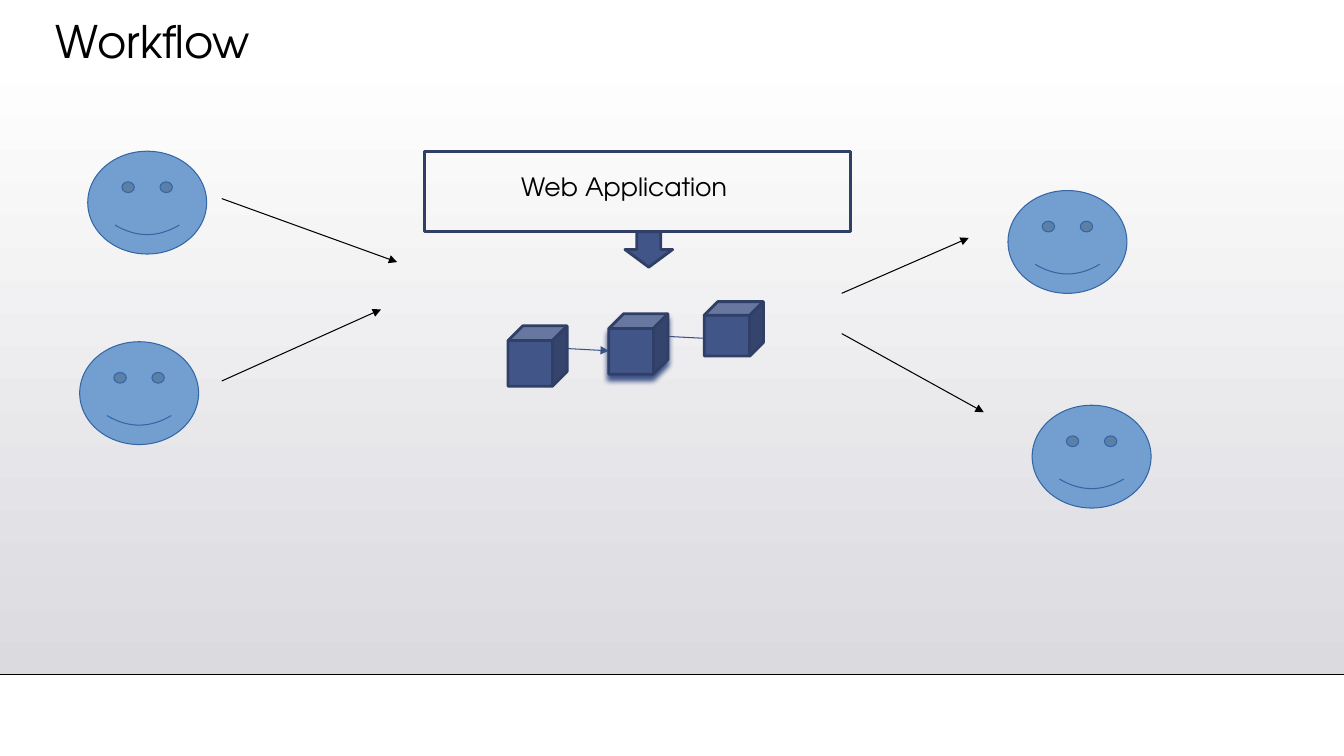
from lxml import etree
from pptx import Presentation
from pptx.dml.color import RGBColor
from pptx.enum.shapes import MSO_CONNECTOR, MSO_SHAPE
from pptx.enum.text import MSO_ANCHOR, MSO_AUTO_SIZE, PP_ALIGN
from pptx.oxml.ns import qn
from pptx.util import Inches, Pt

RECTANGLE = MSO_SHAPE.RECTANGLE
CUBE = MSO_SHAPE.CUBE
DOWN_ARROW = MSO_SHAPE.DOWN_ARROW
SMILEY = MSO_SHAPE.SMILEY_FACE
STRAIGHT = MSO_CONNECTOR.STRAIGHT
TOP = MSO_ANCHOR.TOP
LEFT = PP_ALIGN.LEFT
NO_AUTOFIT = MSO_AUTO_SIZE.NONE

WHITE = RGBColor(0xFF, 0xFF, 0xFF)
BLACK = RGBColor(0x00, 0x00, 0x00)
MIST = RGBColor(0xDA, 0xDA, 0xDF)
BLOCK_BLUE = RGBColor(0x41, 0x55, 0x88)
BLOCK_EDGE = RGBColor(0x30, 0x3F, 0x65)
LINK_BLUE = RGBColor(0x3D, 0x52, 0x86)
USER_BLUE = RGBColor(0x72, 0x9F, 0xCF)
USER_EDGE = RGBColor(0x34, 0x65, 0xA4)

FONT = "TeX Gyre Adventor"
SLIDE_WIDTH = Inches(13.33)
SLIDE_HEIGHT = Inches(7.5)
FLOOR = 89.2
USER_SIZE = (8.85, 13.6)
USERS = [(75, 25.2), (6.53, 20), (76.8, 53.6), (5.93, 45.2)]
BLOCK_WIDTH = 4.4
BLOCKS = [(37.8, 43.1, 8), (45.3, 41.5, 8), (52.4, 39.9, 7.2)]
BLOCK_LINKS = [((42.15, 46.1), (45.3, 46.4)), ((49.65, 44.5), (52.95, 44.8))]
USER_FLOWS = [
    ((16.5, 26.27), (29.55, 34.67)),
    ((16.5, 50.4), (28.35, 40.93)),
    ((62.63, 38.8), (72.08, 31.47)),
    ((62.63, 44.13), (73.2, 54.53)),
]


def across(share):
    return int(SLIDE_WIDTH * share / 100)


def down(share):
    return int(SLIDE_HEIGHT * share / 100)


def place(left, top, width, height):
    return across(left), down(top), across(width), down(height)


def add_figure(slide, preset, area, fill, edge, weight):
    figure = slide.shapes.add_shape(preset, *place(*area))
    figure.shadow.inherit = False
    if fill is None:
        figure.fill.background()
    else:
        figure.fill.solid()
        figure.fill.fore_color.rgb = fill
    figure.line.color.rgb = edge
    figure.line.width = Pt(weight)
    return figure


def add_backdrop(slide):
    top = 6.8
    backdrop = slide.shapes.add_shape(RECTANGLE, *place(0, top, 100, FLOOR - top))
    backdrop.shadow.inherit = False
    backdrop.line.fill.background()
    backdrop.fill.gradient()
    backdrop.fill.gradient_angle = 270
    for stop, color in zip(backdrop.fill.gradient_stops, (WHITE, MIST)):
        stop.color.rgb = color


def add_line(slide, start, end, color, weight, arrow=True):
    line = slide.shapes.add_connector(
        STRAIGHT, across(start[0]), down(start[1]), across(end[0]), down(end[1])
    )
    line.line.color.rgb = color
    line.line.width = Pt(weight)
    if arrow:
        etree.SubElement(line.line._get_or_add_ln(), qn("a:tailEnd"), type="triangle")
    etree.SubElement(line._element.spPr, qn("a:effectLst"))


def add_glow_below(block):
    effects = block._element.spPr.find(qn("a:effectLst"))
    shadow = etree.SubElement(
        effects, qn("a:outerShdw"), blurRad=str(Pt(4)), dist=str(Pt(4)),
        dir="5400000", algn="ctr", rotWithShape="0",
    )
    etree.SubElement(shadow, qn("a:srgbClr"), val=str(BLOCK_BLUE))


def write(holder, wording, size, spacing):
    frame = holder.text_frame
    frame.text = wording
    paragraph = frame.paragraphs[0]
    formats = {
        frame: {"word_wrap": True, "auto_size": NO_AUTOFIT, "vertical_anchor": TOP},
        paragraph: {"alignment": LEFT, "line_spacing": spacing},
        paragraph.runs[0].font: {"name": FONT, "size": Pt(size)},
    }
    for target, values in formats.items():
        for name, value in values.items():
            setattr(target, name, value)
    paragraph.runs[0].font.color.rgb = BLACK


def add_title(slide, wording):
    title = slide.shapes.title
    title.left, title.top, title.width, title.height = place(3.38, 2, 86.25, 19.33)
    write(title, wording, 32, 0.9)


def add_application(slide):
    add_figure(slide, RECTANGLE, (31.58, 20, 31.73, 10.67), None, BLOCK_EDGE, 2)
    label = slide.shapes.add_textbox(*place(38.03, 22, 18.68, 5.33))
    write(label, "Web Application", 18, 1.0)
    add_figure(slide, DOWN_ARROW, (46.5, 30.67, 3.55, 4.67), BLOCK_BLUE, BLOCK_EDGE, 2)


def add_block_chain(slide):
    for start, end in BLOCK_LINKS:
        add_line(slide, start, end, LINK_BLUE, 0.75)
    blocks = [
        add_figure(slide, CUBE, (left, top, BLOCK_WIDTH, height), BLOCK_BLUE, BLOCK_EDGE, 2)
        for left, top, height in BLOCKS
    ]
    add_glow_below(blocks[1])


def main():
    deck = Presentation()
    deck.slide_width = SLIDE_WIDTH
    deck.slide_height = SLIDE_HEIGHT
    slide = deck.slides.add_slide(deck.slide_layouts[5])
    add_backdrop(slide)
    add_line(slide, (0, FLOOR), (100, FLOOR), BLACK, 1, arrow=False)
    add_title(slide, "Workflow")
    title = slide.shapes.title._element
    title.getparent().append(title)
    add_application(slide)
    add_block_chain(slide)
    for corner in USERS:
        add_figure(slide, SMILEY, corner + USER_SIZE, USER_BLUE, USER_EDGE, 0.75)
    for start, end in USER_FLOWS:
        add_line(slide, start, end, BLACK, 0.75)
    deck.save("out.pptx")


if __name__ == "__main__":
    main()
